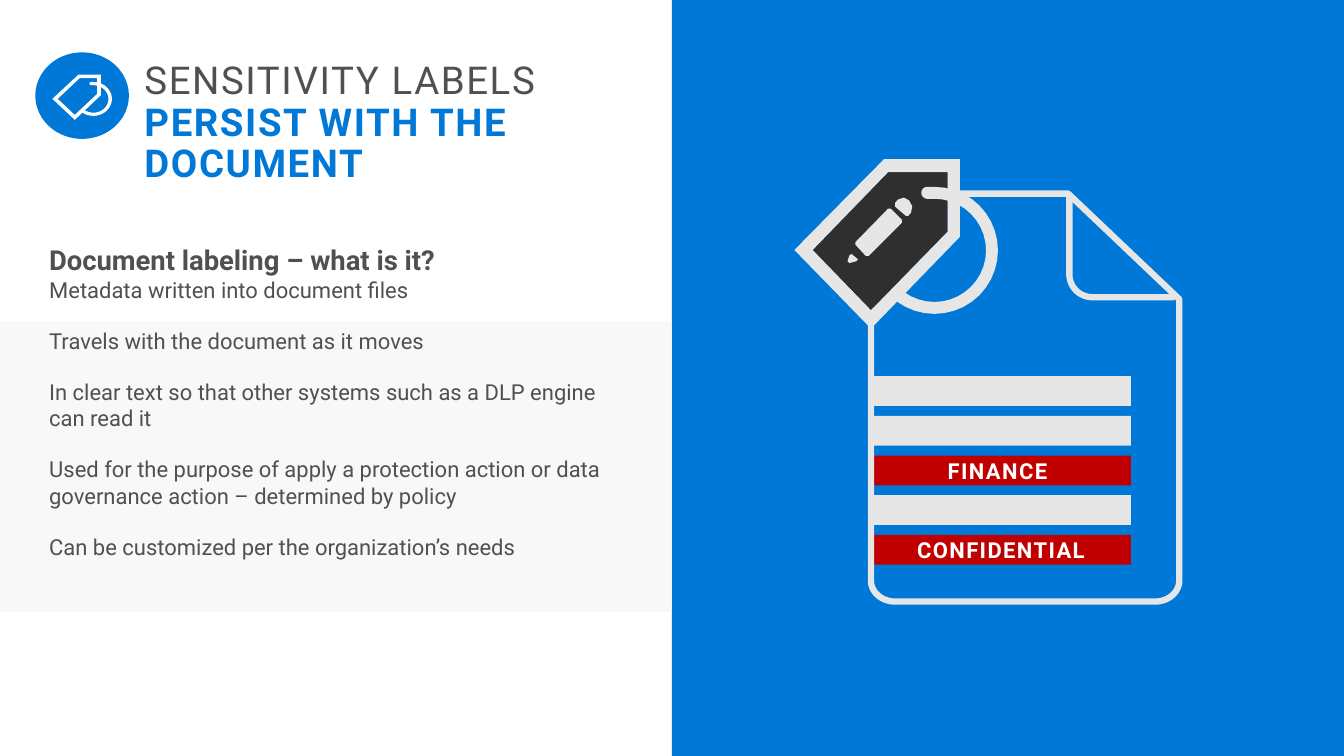
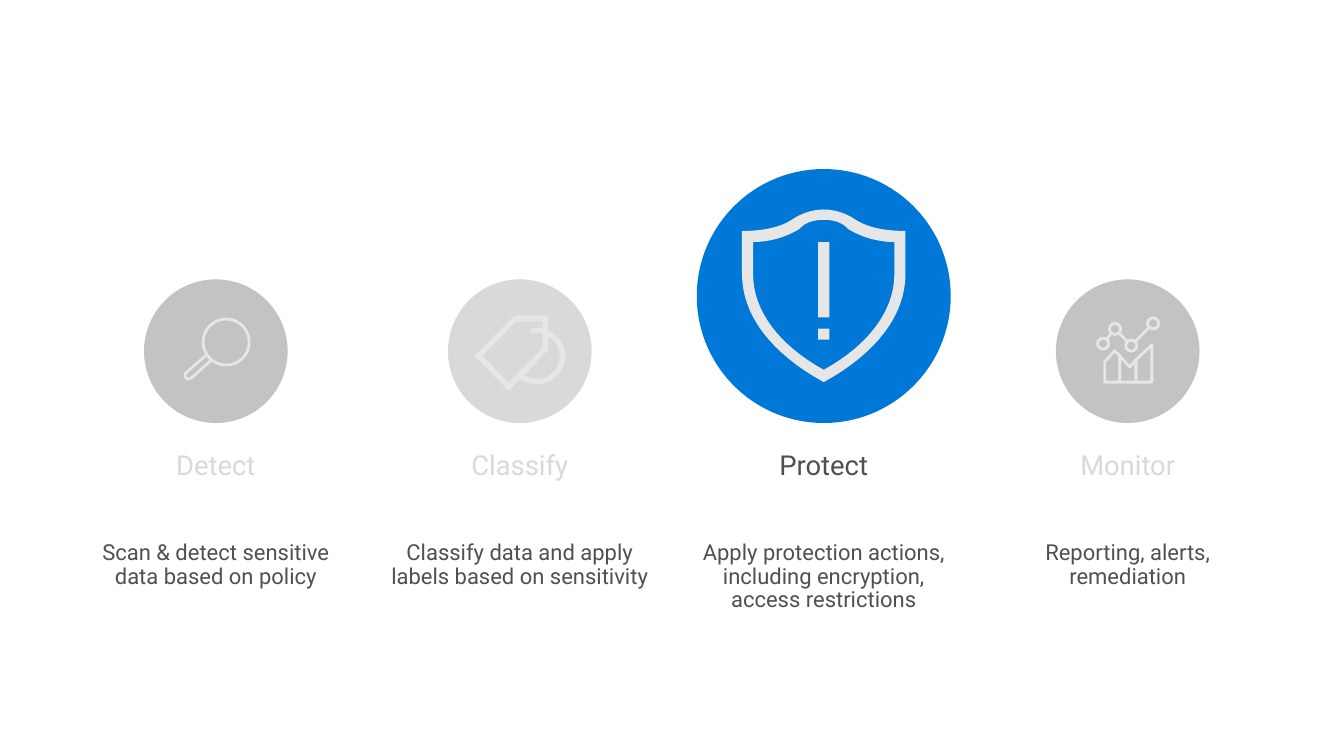
"""Build two slides about sensitivity labels and the data protection steps."""
from itertools import pairwise
from math import cos, hypot, radians, sin

from lxml import etree
from pptx import Presentation
from pptx.dml.color import RGBColor
from pptx.enum.shapes import MSO_CONNECTOR as Connector
from pptx.enum.shapes import MSO_SHAPE as Shape
from pptx.enum.text import MSO_ANCHOR as Anchor
from pptx.enum.text import PP_ALIGN as Align
from pptx.oxml.ns import qn
from pptx.util import Cm, Pt

COLORS = {
    "blue": "0078D7", "red": "C00000", "white": "FFFFFF", "text": "505050",
    "dark": "2F2F2F", "icon": "E6E6E6", "panel": "F8F8F8",
    "muted": "D9D9D9", "disc": "C3C3C3",
}
STYLES = {
    "title": ("text", {"size": Pt(27.4)}, 120),
    "title_strong": ("blue", {"size": Pt(27.4), "bold": True}, 120),
    "heading": ("text", {"size": Pt(19.6), "bold": True}, 0),
    "body": ("text", {"size": Pt(15.7)}, 0),
    "label": ("white", {"size": Pt(15.7), "bold": True}, 100),
    "step": ("muted", {"size": Pt(19.6)}, 0),
    "step_active": ("text", {"size": Pt(19.6)}, 0),
}
TITLE = {"line_spacing": 0.9}
BULLET = {"space_after": Pt(17.6)}
CENTERED = {"alignment": Align.CENTER}
STEP = {"alignment": Align.CENTER, "line_spacing": 0.9, "space_after": Pt(5.9)}


def arc(center_x, center_y, radius_x, radius_y, start, end, steps=24):
    angles = [radians(start + (end - start) * i / steps) for i in range(steps + 1)]
    return [(center_x + radius_x * cos(a), center_y + radius_y * sin(a)) for a in angles]


def curve(a, b, c, d, steps=16):
    points = []
    for i in range(steps + 1):
        t = i / steps
        weights = ((1 - t) ** 3, 3 * t * (1 - t) ** 2, 3 * t * t * (1 - t), t ** 3)
        points.append(tuple(sum(w * p[k] for w, p in zip(weights, (a, b, c, d)))
                            for k in (0, 1)))
    return points


def mirrored(half, center_x):
    both = half + [(-x, y) for x, y in reversed(half)]
    return [(center_x + x, y) for x, y in both]


class Deck:
    def __init__(self):
        self.presentation = Presentation()
        self.presentation.slide_width = Cm(33.87)
        self.presentation.slide_height = Cm(19.05)
        self.slide = None

    def new_slide(self):
        self.slide = self.presentation.slides.add_slide(self.presentation.slide_layouts[6])

    def color(self, name):
        return RGBColor.from_string(COLORS[name])

    def paint(self, shape, fill, line=None, width=2):
        shape.shadow.inherit = False
        if fill:
            shape.fill.solid()
            shape.fill.fore_color.rgb = self.color(fill)
        else:
            shape.fill.background()
        if line:
            shape.line.color.rgb = self.color(line)
            shape.line.width = Pt(width)
        else:
            shape.line.fill.background()
        return shape

    def preset(self, kind, box, fill, line=None):
        shape = self.slide.shapes.add_shape(kind, *map(Cm, box))
        return self.paint(shape, fill, line)

    def rectangle(self, box, fill):
        return self.preset(Shape.RECTANGLE, box, fill)

    def circle(self, x, y, radius, fill, line=None):
        box = (x - radius, y - radius, 2 * radius, 2 * radius)
        return self.preset(Shape.OVAL, box, fill, line)

    def outline(self, contours, fill=None, line=None, width=2, close=True):
        builder = None
        for contour in contours:
            start, *rest = [(Cm(x), Cm(y)) for x, y in contour]
            if builder:
                builder.move_to(*start)
            else:
                builder = self.slide.shapes.build_freeform(*start)
            builder.add_line_segments(rest, close=close)
        return self.paint(builder.convert_to_shape(), fill, line, width)

    def connector(self, start, end, line):
        connector = self.slide.shapes.add_connector(
            Connector.STRAIGHT, *map(Cm, (*start, *end)))
        connector.line.color.rgb = self.color(line)
        connector.line.width = Pt(2)
        etree.SubElement(connector._element.spPr, qn("a:effectLst"))

    def fill_text(self, shape, paragraphs, margins, anchor=Anchor.MIDDLE):
        frame = shape.text_frame
        sides = ("margin_left", "margin_top", "margin_right", "margin_bottom")
        settings = dict(zip(sides, map(Cm, margins)))
        settings.update(word_wrap=True, vertical_anchor=anchor)
        for name, value in settings.items():
            setattr(frame, name, value)
        for index, (runs, layout) in enumerate(paragraphs):
            paragraph = frame.add_paragraph() if index else frame.paragraphs[0]
            for name, value in layout.items():
                setattr(paragraph, name, value)
            for words, style in runs:
                self.add_run(paragraph, words, style)

    def add_run(self, paragraph, words, style):
        color, formats, spacing = STYLES[style]
        run = paragraph.add_run()
        run.text = words
        for name, value in {"name": "Roboto", **formats}.items():
            setattr(run.font, name, value)
        run.font.color.rgb = self.color(color)
        if spacing:
            run._r.get_or_add_rPr().set("spc", str(spacing))

    def text(self, box, paragraphs, margins, anchor=Anchor.MIDDLE):
        shape = self.slide.shapes.add_textbox(*map(Cm, box))
        self.fill_text(shape, paragraphs, margins, anchor)

    def tag(self, box, color, body=None):
        left, top, width, height = box

        def place(points):
            return [(left + x * width / 5.13, top + y * height / 4.27) for x, y in points]

        edge = place([(4.17, 0), (2.26, 0), (0, 2.29), (1.93, 4.27), (4.17, 1.96)])
        hole = place([(3.86, 0.33), (2.36, 0.33), (0.46, 2.29), (1.93, 3.81), (3.86, 1.83)])
        ring = place(arc(3.35, 0.85, 0.15, 0.15, 90, 270)
                     + arc(3.53, 2.3, 1.6, 1.6, -90, 126)
                     + arc(3.53, 2.3, 1.3, 1.3, 126, -90))
        if body:
            self.outline([hole], body)
        self.outline([edge, hole], color)
        self.outline([ring], color)

    def pencil(self):
        body = [(21.56, 6.1), (22.38, 5.26), (22.45, 5.26), (22.73, 5.54),
                (22.73, 5.61), (21.89, 6.45), (21.82, 6.45), (21.56, 6.17)]
        eraser = [(22.56, 5.21), (22.56, 5.11), (22.63, 5.03), (22.78, 4.98), (22.91, 5.05),
                  (22.99, 5.2), (22.96, 5.36), (22.89, 5.44), (22.83, 5.44)]
        tip = [(21.41, 6.63), (21.36, 6.58), (21.41, 6.43),
               (21.46, 6.4), (21.62, 6.53), (21.59, 6.58)]
        self.outline([body, eraser, tip], "icon")

    def document(self):
        page = (arc(22.56, 5.41, 0.61, 0.53, 270, 180)
                + arc(22.56, 14.63, 0.61, 0.53, 180, 90)
                + arc(29.11, 14.63, 0.61, 0.53, 90, 0)
                + [(29.72, 7.54), (26.92, 4.88)])
        fold = [(29.6, 7.49)] + arc(27.53, 6.91, 0.58, 0.58, 90, 180) + [(26.95, 4.88)]
        self.outline([page], line="icon", width=4.5)
        self.outline([fold], line="icon", width=4.5, close=False)

    def magnifier(self):
        self.circle(5.7, 8.62, 0.58, None, "icon")
        handle = [(5.21, 8.94), (4.67, 9.41), (4.66, 9.5),
                  (4.74, 9.56), (4.82, 9.53), (5.31, 9.09)]
        self.outline([handle], line="icon", close=False)

    def shield(self, center):
        edge = (curve((0, 9.63), (-1.35, 8.89), (-2.06, 7.92), (-2.06, 6.91))
                + curve((-2.06, 5.82), (-1.48, 5.82), (-1.07, 5.72), (-0.76, 5.51))
                + curve((-0.76, 5.51), (-0.56, 5.38), (-0.28, 5.28), (0, 5.28)))
        hole = (curve((0, 9.32), (-1.14, 8.69), (-1.78, 7.82), (-1.78, 6.91))
                + curve((-1.78, 6.1), (-1.35, 6.1), (-0.94, 5.97), (-0.61, 5.77))
                + curve((-0.61, 5.77), (-0.48, 5.61), (-0.25, 5.54), (0, 5.54)))
        self.outline([mirrored(edge, center), mirrored(hole, center)], "icon")
        for top, height in ((6.1, 1.9), (8.28, 0.28)):
            self.rectangle((center - 0.14, top, 0.28, height), "icon")

    def trend(self):
        radius = 0.14
        dots = [(27.8, 8.66), (28.1, 8.29), (28.51, 8.71), (29.06, 8.15)]
        for (x1, y1), (x2, y2) in pairwise(dots):
            share = radius / hypot(x2 - x1, y2 - y1)
            dx, dy = (x2 - x1) * share, (y2 - y1) * share
            self.connector((x1 + dx, y1 + dy), (x2 - dx, y2 - dy), "icon")
        for x, y in dots:
            self.circle(x, y, radius, None, "icon")
        base = 9.63
        self.outline([
            [(28.09, 8.84), (27.84, 9.12), (27.84, base), (28.22, base), (28.22, 8.97)],
            [(28.47, 9.25), (28.22, 8.97), (28.22, base), (28.63, base), (28.63, 9.07)],
            [(28.63, 9.07), (28.63, base), (29.03, base), (29.03, 8.69)],
        ], line="icon")


def build_labels(deck):
    deck.new_slide()
    deck.rectangle((16.93, 0, 16.94, 19.05), "blue")
    deck.rectangle((0, 8.1, 16.93, 7.32), "panel")
    for index, label in enumerate(("", "", "FINANCE ", "", "CONFIDENTIAL")):
        bar = deck.rectangle((21.95, 9.48 + index, 6.55, 0.75), "red" if label else "icon")
        if label:
            deck.fill_text(bar, [([(label, "label")], CENTERED)], (0, 0.13, 0, 0.13))
    deck.document()
    deck.tag((20.02, 4.01, 5.13, 4.27), "icon", "dark")
    deck.pencil()
    title = [("SENSITIVITY LABELS ", "title"), ("PERSIST WITH THE DOCUMENT", "title_strong")]
    deck.text((3.23, 1.32, 11.94, 3.61), [(title, TITLE)], (0.41, 0.25, 0, 0.25))
    bullets = (
        "Metadata written into document files",
        "Travels with the document as it moves",
        "In clear text so that other systems such as a DLP engine can read it",
        "Used for the purpose of apply a protection action or data governance action"
        " – determined by policy",
        "Can be customized per the organization’s needs",
    )
    paragraphs = [([("Document labeling – what is it?", "heading")], {})]
    paragraphs += [([(bullet, "body")], BULLET) for bullet in bullets]
    deck.text((1.24, 5.77, 14.45, 8.69), paragraphs, (0, 0.13, 0.25, 0.13))
    deck.preset(Shape.OVAL, (0.89, 1.32, 2.36, 2.18), "blue")
    deck.tag((1.32, 1.88, 1.5, 1.14), "white")


def build_steps(deck):
    deck.new_slide()
    steps = (
        ("Detect", "Scan & detect sensitive data based on policy", "disc", 1.81),
        ("Classify", "Classify data and apply labels based on sensitivity", "muted", 1.81),
        ("Protect", "Apply protection actions, including encryption, access restrictions",
         "blue", 3.2),
        ("Monitor", "Reporting, alerts, remediation", "disc", 1.81),
    )
    centers = [5.44 + 7.66 * index for index in range(len(steps))]
    margins = (0.25, 0.41, 0.25, 0.41)
    for center, (name, summary, color, radius) in zip(centers, steps):
        deck.circle(center, 10.66 - radius, radius, color)
        style = "step_active" if color == "blue" else "step"
        for top, height, words, font in ((11.02, 1.98, name, style),
                                         (13.23, 2.62, summary, "body")):
            deck.text((center - 3.61, top, 7.22, height), [([(words, font)], STEP)],
                      margins, Anchor.TOP)
    deck.magnifier()
    deck.tag((centers[1] - 1.14, 7.95, 2.28, 1.9), "icon")
    deck.shield(centers[2])
    deck.trend()


def main():
    deck = Deck()
    build_labels(deck)
    build_steps(deck)
    deck.presentation.save("out.pptx")


if __name__ == "__main__":
    main()
